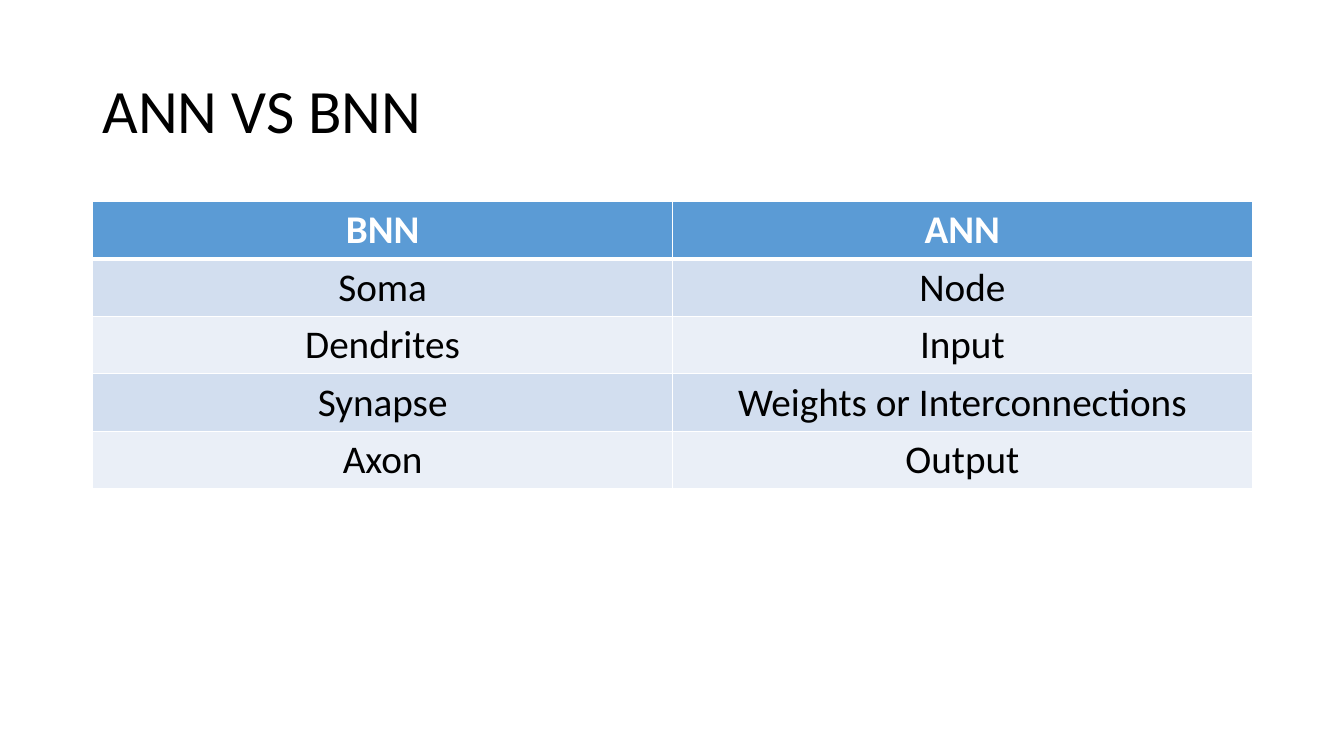
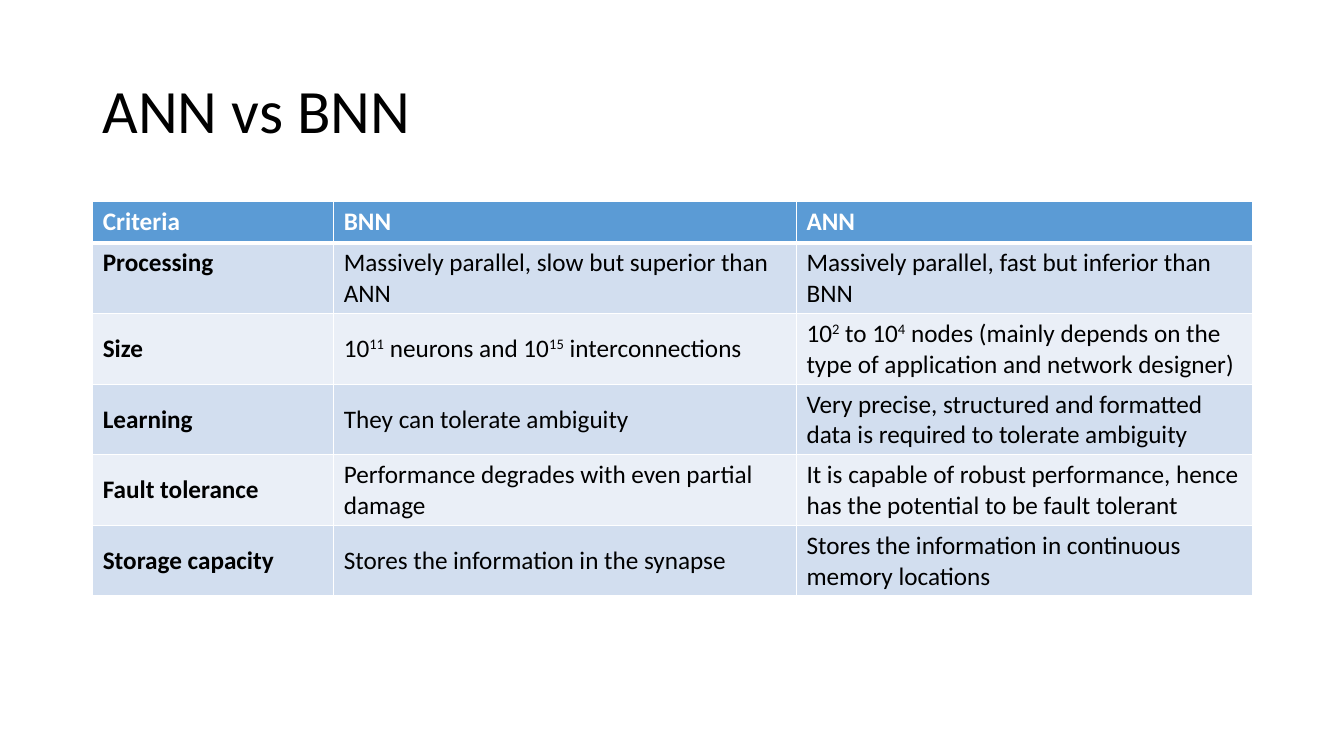
from lxml.etree import SubElement
from pptx import Presentation
from pptx.dml.color import RGBColor
from pptx.enum.text import MSO_ANCHOR, PP_ALIGN
from pptx.oxml.ns import qn
from pptx.util import Inches, Pt

FONT = "Calibri"
BLACK = RGBColor(0x00, 0x00, 0x00)
WHITE = RGBColor(0xFF, 0xFF, 0xFF)
HEADER_BLUE = RGBColor(0x5B, 0x9B, 0xD5)
BANDS = (RGBColor(0xD2, 0xDE, 0xEF), RGBColor(0xEA, 0xEF, 0xF7))

TITLE_BOX = (0.92, 0.4, 11.5, 1.45)
TABLE_LEFT, TABLE_TOP = 0.92, 2

PARTS = [
    ("BNN", "ANN"),
    ("Soma", "Node"),
    ("Dendrites", "Input"),
    ("Synapse", "Weights or Interconnections"),
    ("Axon", "Output"),
]
CRITERIA = [
    ("Criteria", "BNN", "ANN"),
    ("Processing", "Massively parallel, slow but superior than ANN",
     "Massively parallel, fast but inferior than BNN"),
    ("Size", "10^11^ neurons and 10^15^ interconnections",
     "10^2^ to 10^4^ nodes (mainly depends on the type of application and network designer)"),
    ("Learning", "They can tolerate ambiguity",
     "Very precise, structured and formatted data is required to tolerate ambiguity"),
    ("Fault tolerance", "Performance degrades with even partial damage",
     "It is capable of robust performance, hence has the potential to be fault tolerant"),
    ("Storage capacity", "Stores the information in the synapse",
     "Stores the information in continuous memory locations"),
]


def add_text(para, text, size, color, bold=False):
    for index, part in enumerate(text.split("^")):
        span = para.add_run()
        span.text = part
        span.font.name = FONT
        span.font.size = Pt(size)
        span.font.bold = bold
        span.font.color.rgb = color
        if index % 2:
            span.font._element.set("baseline", "30000")


def add_title(page, text):
    box = page.shapes.add_textbox(*map(Inches, TITLE_BOX))
    frame = box.text_frame
    frame.word_wrap = True
    frame.vertical_anchor = MSO_ANCHOR.MIDDLE
    para = frame.paragraphs[0]
    para.line_spacing = 0.9
    add_text(para, text, 44, BLACK)


def set_borders(cell, top, bottom):
    properties = cell._tc.get_or_add_tcPr()
    for side, width in (("L", 1), ("R", 1), ("T", top), ("B", bottom)):
        line = SubElement(properties, qn(f"a:ln{side}"), w=str(Pt(width)))
        fill = SubElement(line, qn("a:solidFill"))
        SubElement(fill, qn("a:srgbClr"), val=str(WHITE))


def add_comparison(page, rows, widths, heights, size, align,
                   bold_labels=False, middle_from=None):
    frame = page.shapes.add_table(
        len(rows), len(widths), Inches(TABLE_LEFT), Inches(TABLE_TOP),
        Inches(sum(widths)), Inches(sum(heights)))
    table = frame.table
    for column, width in zip(table.columns, widths):
        column.width = Inches(width)
    for row_index, texts in enumerate(rows):
        table.rows[row_index].height = Inches(heights[row_index])
        header = row_index == 0
        for column_index, text in enumerate(texts):
            cell = table.cell(row_index, column_index)
            set_borders(cell, top=3 if row_index == 1 else 1, bottom=3 if header else 1)
            cell.fill.solid()
            cell.fill.fore_color.rgb = HEADER_BLUE if header else BANDS[(row_index - 1) % 2]
            if middle_from is not None and row_index >= middle_from:
                cell.vertical_anchor = MSO_ANCHOR.MIDDLE
            para = cell.text_frame.paragraphs[0]
            para.alignment = align
            add_text(para, text, size, WHITE if header else BLACK,
                     header or (bold_labels and column_index == 0))


def add_page(deck, title):
    page = deck.slides.add_slide(deck.slide_layouts[6])
    add_title(page, title)
    return page


def main():
    deck = Presentation()
    deck.slide_width, deck.slide_height = Inches(13.33), Inches(7.5)
    add_comparison(add_page(deck, "ANN VS BNN"), PARTS, [5.75] * 2, [0.57] * 5,
                   28, PP_ALIGN.CENTER)
    add_comparison(add_page(deck, "ANN vs BNN"), CRITERIA, [2.39, 4.59, 4.52],
                   [0.41] + [0.7] * 5, 18, PP_ALIGN.LEFT,
                   bold_labels=True, middle_from=2)
    deck.save("out.pptx")


if __name__ == "__main__":
    main()
